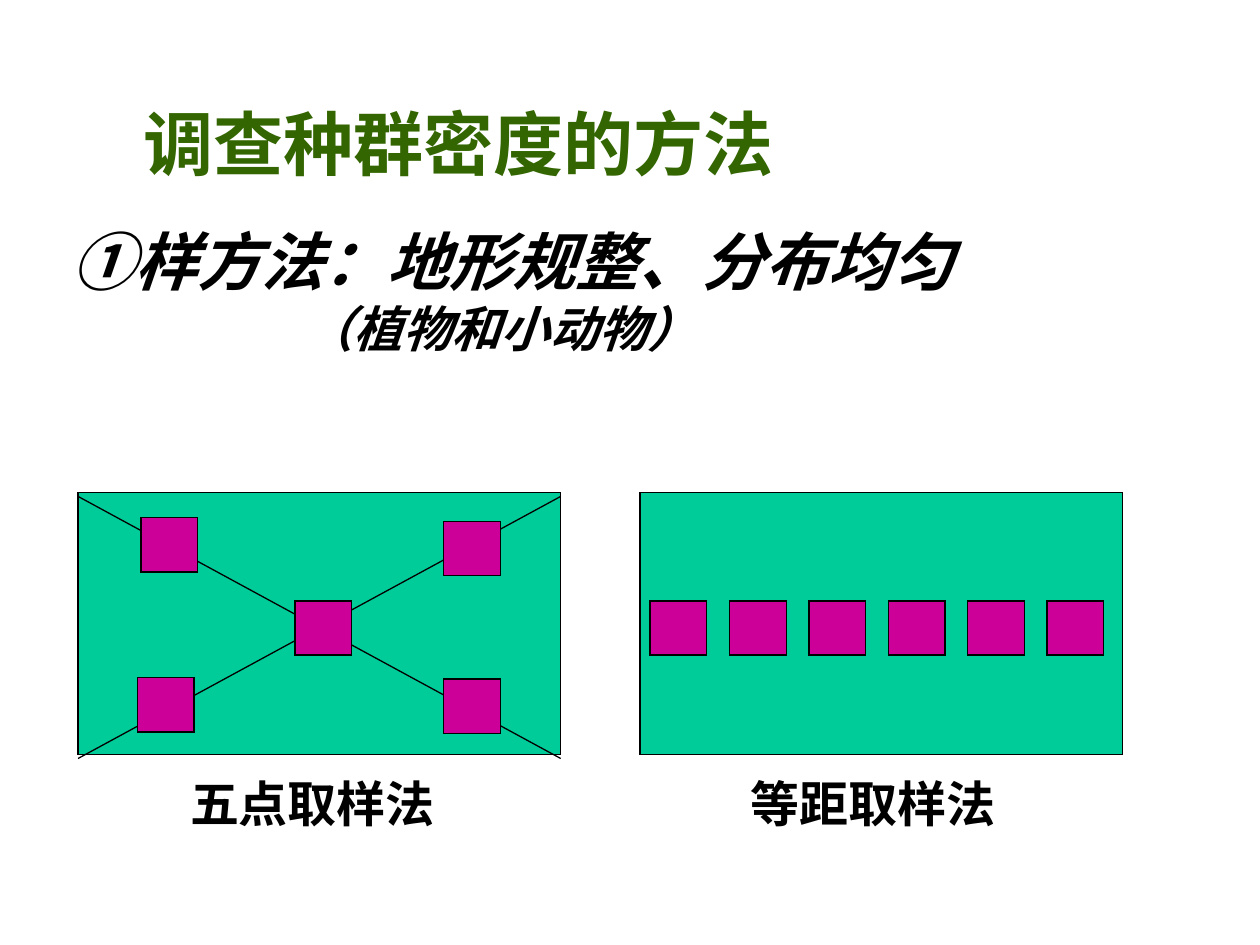
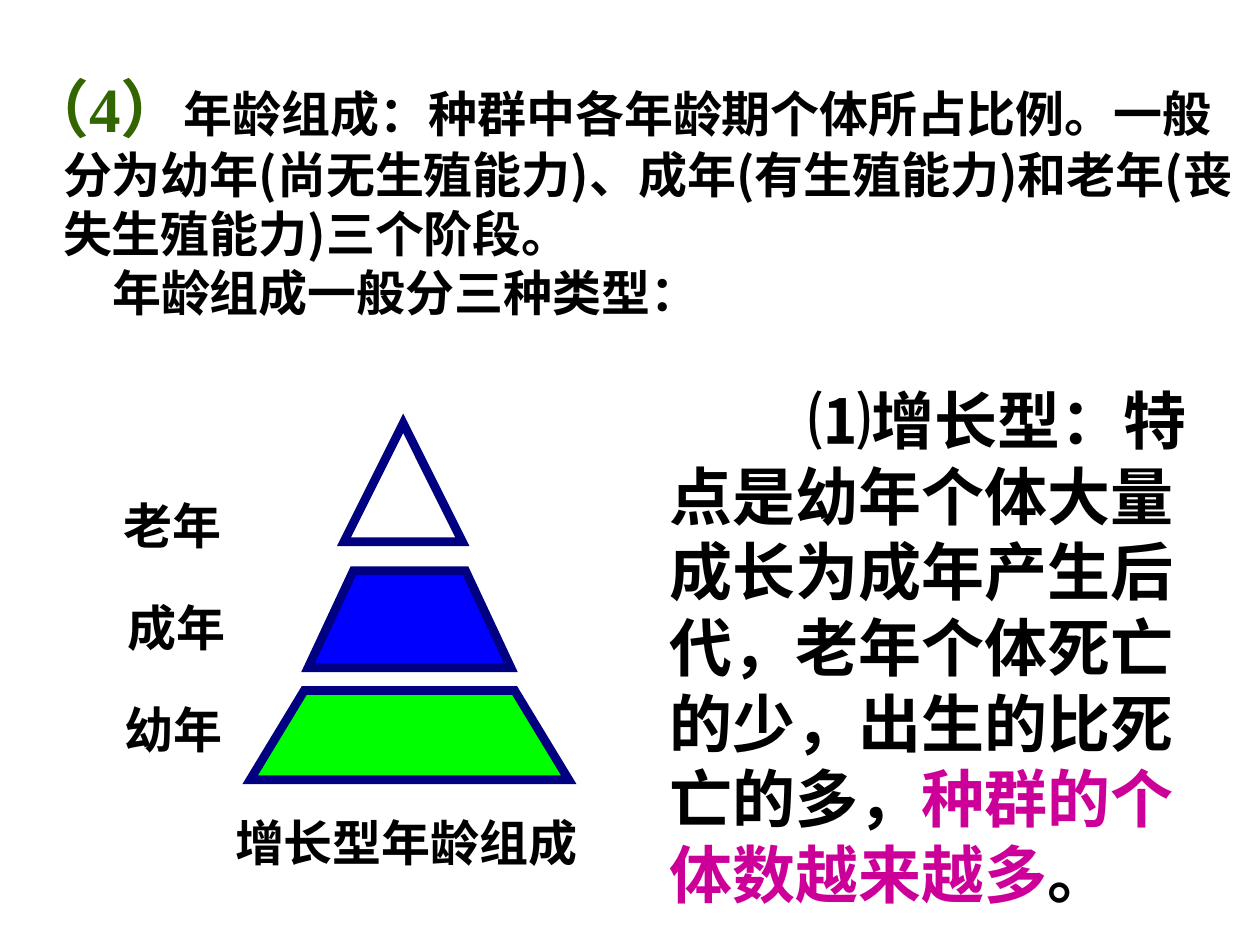
"""Two slides on sampling population density and on age structure."""
from lxml import etree
from pptx import Presentation
from pptx.dml.color import RGBColor
from pptx.enum import shapes, text
from pptx.oxml import ns
from pptx.util import Inches, Pt

BLACK = RGBColor(0x00, 0x00, 0x00)
WHITE = RGBColor(0xFF, 0xFF, 0xFF)
OLIVE = RGBColor(0x33, 0x66, 0x00)
FIELD_GREEN = RGBColor(0x00, 0xCC, 0x99)
MAGENTA = RGBColor(0xCC, 0x00, 0x99)
NAVY = RGBColor(0x00, 0x00, 0x80)
BLUE = RGBColor(0x00, 0x00, 0xFF)
LIME = RGBColor(0x00, 0xFF, 0x00)
SANS, SERIF = "Noto Sans CJK SC", "Times New Roman"
MARGINS = (0.1, 0.05)
FLUSH = (0, 0)

HEADING = "调查种群密度的方法"
METHOD = [
    dict(runs=[("①样方法：地形规整、分布均匀", 36, SERIF, BLACK)], italic=True),
    dict(runs=[("（植物和小动物）", 28, SERIF, BLACK)], italic=True, indent=1.85),
]
FIELD_SIZE = (3.83, 2.08)
FIELD_TOP = 3.91
SAMPLE_SIZE = (0.45, 0.43)
ROW_LEFT, ROW_TOP, ROW_STEP = 5.16, 4.77, 0.63
FIELDS = [
    dict(left=0.62, caption="五点取样法", caption_box=(1.41, 6.09, 2.81, 0.57),
         diagonals=[(6.02, 3.94), (3.94, 6.02)],
         samples=[(1.12, 4.11), (2.34, ROW_TOP), (3.52, 4.14), (3.52, 5.39), (1.09, 5.38)]),
    dict(left=5.08, caption="等距取样法", caption_box=(5.86, 6.09, 2.34, 0.57),
         diagonals=[],
         samples=[(ROW_LEFT + ROW_STEP * i, ROW_TOP) for i in range(6)]),
]

DEFINITION = [
    dict(runs=[
        (" ", 28, SANS, BLACK),
        ("（4）", 36, SERIF, OLIVE),
        ("年龄组成：种群中各年龄期个体所占比例。一般分为幼年(尚无生殖能力)、"
         "成年(有生殖能力)和老年(丧失生殖能力)三个阶段。", 28, SANS, BLACK),
    ], margin=0.38, indent=-0.38),
    dict(runs=[("年龄组成一般分三种类型：", 28, SANS, BLACK)], margin=0.38, indent=0.39),
]
GROWTH = [dict(runs=[
    ("⑴增长型：特点是幼年个体大量成长为成年产生后代，老年个体死亡的少，"
     "出生的比死亡的多，", 36, SANS, BLACK),
    ("种群的个体数越来越多", 36, SANS, MAGENTA),
    ("。", 36, SANS, BLACK),
], margin=0.23, indent=1.11)]
PYRAMID_CAPTION = "增长型年龄组成"
TIERS = [
    dict(age="老年", label_left=0.98, middle=3.2, top=3.36, bottom=4.3,
         widths=(0, 0.94), color=WHITE),
    dict(age="成年", label_left=1.01, middle=3.25, top=4.53, bottom=5.3,
         widths=(0.89, 1.61), color=BLUE),
    dict(age="幼年", label_left=0.99, middle=3.25, top=5.48, bottom=6.19,
         widths=(1.67, 2.53), color=LIME),
]
LABEL_TOP, LABEL_STEP, LABEL_SIZE = 3.93, 0.81, (1.05, 0.47)


def place(holder, box):
    for side, length in zip(("left", "top", "width", "height"), box):
        setattr(holder, side, Inches(length))


def write(holder, paragraphs, insets=MARGINS, align=text.PP_ALIGN.LEFT):
    frame = holder.text_frame
    across, down = map(Inches, insets)
    layout = dict(margin_left=across, margin_right=across, margin_top=down,
                  margin_bottom=down, word_wrap=True,
                  auto_size=text.MSO_AUTO_SIZE.NONE,
                  vertical_anchor=text.MSO_ANCHOR.TOP)
    for name, value in layout.items():
        setattr(frame, name, value)
    for index, content in enumerate(paragraphs):
        paragraph = frame.add_paragraph() if index else frame.paragraphs[0]
        paragraph.alignment = align
        paragraph.space_before = Pt(0)
        properties = paragraph._p.get_or_add_pPr()
        properties.set("marL", str(Inches(content.get("margin", 0))))
        properties.set("indent", str(Inches(content.get("indent", 0))))
        etree.SubElement(properties, ns.qn("a:buNone"))
        for words, size, face, color in content["runs"]:
            run = paragraph.add_run()
            run.text = words
            style = dict(size=Pt(size), name=face, bold=True,
                         italic=content.get("italic", False))
            for name, value in style.items():
                setattr(run.font, name, value)
            run.font.color.rgb = color
            east_asian = etree.SubElement(run._r.get_or_add_rPr(), ns.qn("a:ea"))
            east_asian.set("typeface", SANS)


def add_words(slide, box, paragraphs, **layout):
    write(slide.shapes.add_textbox(*map(Inches, box)), paragraphs, **layout)


def line_of(words, face):
    return [dict(runs=[(words, 28, face, BLACK)])]


def paint(shape, fill, line, width):
    shape.shadow.inherit = False
    shape.fill.solid()
    shape.fill.fore_color.rgb = fill
    shape.line.color.rgb = line
    shape.line.width = Pt(width)
    corner = etree.SubElement(shape.line._get_or_add_ln(), ns.qn("a:miter"))
    corner.set("lim", "800000")


def add_rectangle(slide, box, fill):
    rectangle = slide.shapes.add_shape(shapes.MSO_SHAPE.RECTANGLE, *map(Inches, box))
    paint(rectangle, fill, BLACK, 0.75)


def add_diagonal(slide, left, right, heights):
    start, end = heights
    diagonal = slide.shapes.add_connector(
        shapes.MSO_CONNECTOR.STRAIGHT, *map(Inches, (left, start, right, end)))
    diagonal.line.color.rgb = BLACK
    diagonal.line.width = Pt(0.75)
    etree.SubElement(diagonal._element.spPr, ns.qn("a:effectLst"))


def add_tier(slide, tier):
    middle, top, bottom = tier["middle"], tier["top"], tier["bottom"]
    upper, lower = (width / 2 for width in tier["widths"])
    if upper:
        corners = [(middle - lower, bottom), (middle - upper, top),
                   (middle + upper, top), (middle + lower, bottom)]
        first, *others = [tuple(map(Inches, corner)) for corner in corners]
        builder = slide.shapes.build_freeform(*first)
        builder.add_line_segments(others, close=True)
        shape = builder.convert_to_shape()
    else:
        box = (middle - lower, top, 2 * lower, bottom - top)
        shape = slide.shapes.add_shape(
            shapes.MSO_SHAPE.ISOSCELES_TRIANGLE, *map(Inches, box))
    paint(shape, tier["color"], NAVY, 5)


def build_sampling(deck):
    slide = deck.slides.add_slide(deck.slide_layouts[5])
    title = slide.shapes.title
    place(title, (1.04, 0.75, 5.5, 0.77))
    write(title, [dict(runs=[(HEADING, 40, SERIF, OLIVE)])])
    add_words(slide, (0.47, 1.72, 8.36, 1.17), METHOD)
    for field in FIELDS:
        left = field["left"]
        add_rectangle(slide, (left, FIELD_TOP, *FIELD_SIZE), FIELD_GREEN)
        for heights in field["diagonals"]:
            add_diagonal(slide, left, left + FIELD_SIZE[0], heights)
        for corner in field["samples"]:
            add_rectangle(slide, (*corner, *SAMPLE_SIZE), MAGENTA)
        add_words(slide, field["caption_box"], line_of(field["caption"], SERIF))


def build_age_structure(deck):
    slide = deck.slides.add_slide(deck.slide_layouts[1])
    title, definition = slide.placeholders
    title._element.getparent().remove(title._element)
    place(definition, (0.02, 0.5, 9.98, 2.92))
    write(definition, DEFINITION)
    add_words(slide, (5.08, 3.03, 4.68, 4.21), GROWTH, insets=FLUSH)
    add_words(slide, (1.61, 6.45, 3.23, 0.47), line_of(PYRAMID_CAPTION, SANS),
              insets=FLUSH, align=text.PP_ALIGN.CENTER)
    for index, tier in enumerate(TIERS):
        add_tier(slide, tier)
        box = (tier["label_left"], LABEL_TOP + LABEL_STEP * index, *LABEL_SIZE)
        add_words(slide, box, line_of(tier["age"], SANS), insets=FLUSH)


def main():
    deck = Presentation()
    deck.slide_width, deck.slide_height = Inches(10), Inches(7.5)
    build_sampling(deck)
    build_age_structure(deck)
    deck.save("out.pptx")


if __name__ == "__main__":
    main()
